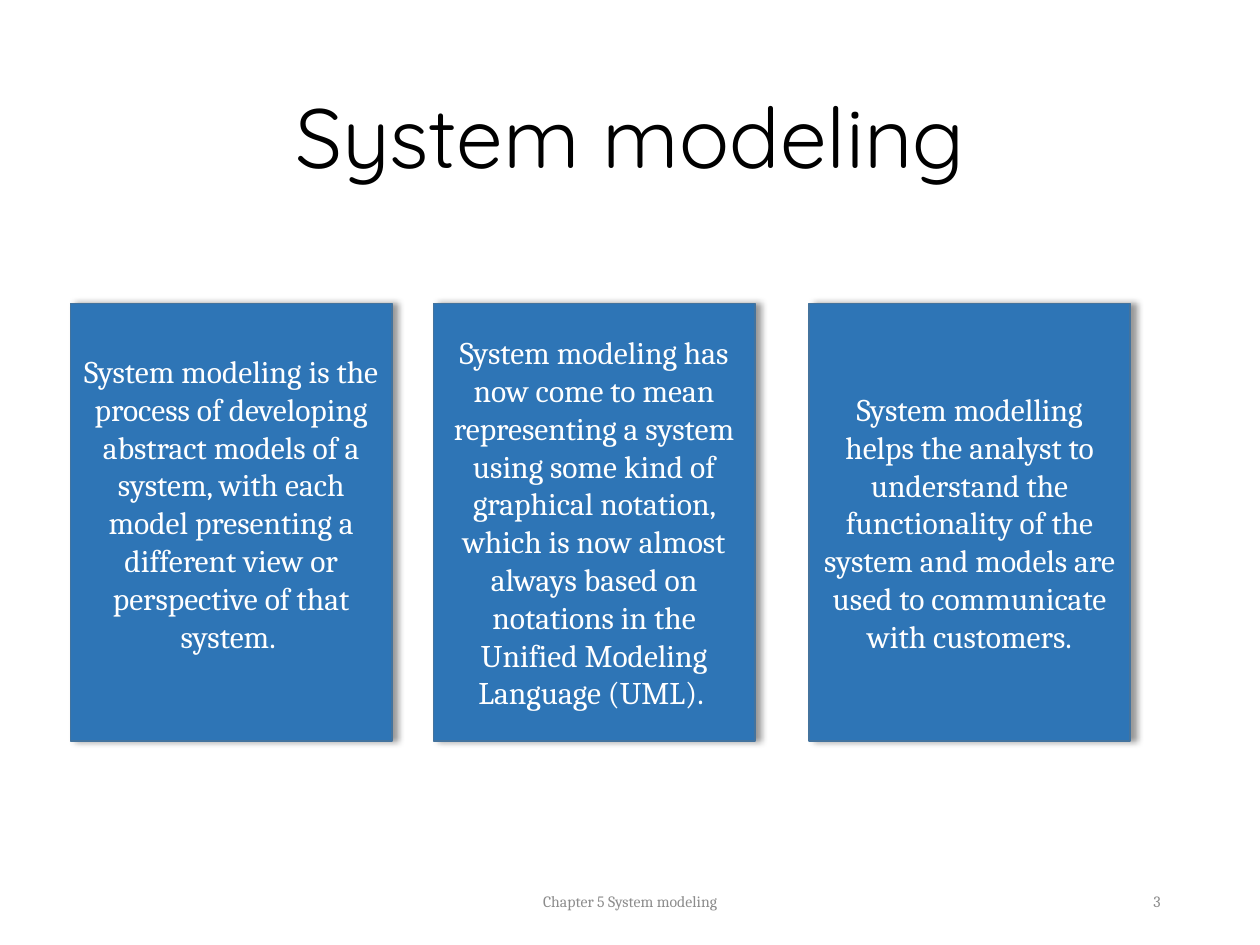
import pptx
import pptx.util
import pptx.dml.color
import pptx.enum.shapes
import pptx.enum.text
import pptx.oxml
import pptx.oxml.ns

Inches = pptx.util.Inches
Pt = pptx.util.Pt
ALIGN = pptx.enum.text.PP_ALIGN

SHADOW_XML = (
    f'<a:effectLst {pptx.oxml.ns.nsdecls("a")}>'
    f'<a:outerShdw blurRad="{Pt(4)}" dist="{Pt(3)}" dir="0" algn="l" rotWithShape="0">'
    '<a:srgbClr val="000000"><a:alpha val="40000"/></a:srgbClr>'
    '</a:outerShdw></a:effectLst>'
)


def color(value):
    return pptx.dml.color.RGBColor.from_string(value)


def write_text(shape, text, font, size, text_color, alignment):
    frame = shape.text_frame
    frame.word_wrap = True
    frame.vertical_anchor = pptx.enum.text.MSO_ANCHOR.MIDDLE
    frame.text = text
    paragraph = frame.paragraphs[0]
    paragraph.alignment = alignment
    run = paragraph.runs[0]
    run.font.name = font
    run.font.size = Pt(size)
    run.font.color.rgb = color(text_color)
    return paragraph


presentation = pptx.Presentation()
presentation.slide_width = Inches(10)
presentation.slide_height = Inches(7.5)
slide = presentation.slides.add_slide(presentation.slide_layouts[6])

# Title
title = slide.shapes.add_textbox(Inches(0.69), Inches(0.4), Inches(8.62), Inches(1.45))
paragraph = write_text(title, "System modeling", "Quicksand", 48, "000000", ALIGN.CENTER)
paragraph.line_spacing = 0.9

# Footer and slide number
footers = [
    (3.31, 3.38, "Chapter 5 System modeling", ALIGN.CENTER),
    (7.06, 2.25, "3", ALIGN.RIGHT),
]
for left, width, text, alignment in footers:
    footer = slide.shapes.add_textbox(Inches(left), Inches(6.95), Inches(width), Inches(0.4))
    write_text(footer, text, "Cambria", 9, "8C8C8C", alignment)

# Three cards: left edge, bottom inset, text
cards = [
    (0.56, 0.35, "System modeling is the process of developing abstract models of a system, "
     "with each model presenting a different view or perspective of that system. "),
    (3.44, 0.05, "System modeling has now come to mean representing a system using some kind "
     "of graphical notation, which is now almost always based on notations in the "
     "Unified Modeling Language (UML). "),
    (6.42, 0.05, "System modelling helps the analyst to understand the functionality of the "
     "system and models are used to communicate with customers."),
]
for left, bottom_inset, text in cards:
    card = slide.shapes.add_shape(
        pptx.enum.shapes.MSO_SHAPE.RECTANGLE,
        Inches(left), Inches(2.41), Inches(2.55), Inches(3.47))
    card.fill.solid()
    card.fill.fore_color.rgb = color("2E75B6")
    card.line.color.rgb = color("43739E")
    card.line.width = Pt(1)
    card._element.spPr.append(pptx.oxml.parse_xml(SHADOW_XML))
    card.text_frame.margin_bottom = Inches(bottom_inset)
    write_text(card, text, "Cambria", 18, "FFFFFF", ALIGN.CENTER)

presentation.save("out.pptx")
